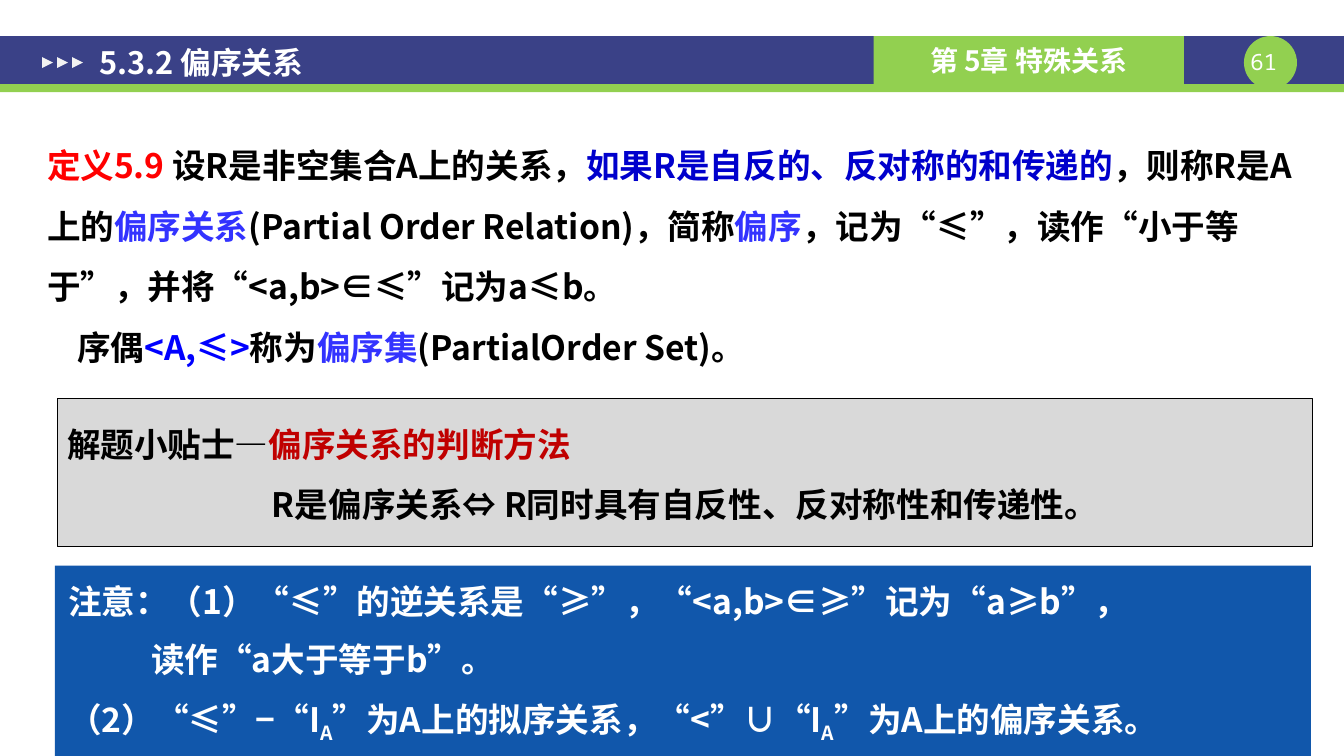
from pptx import Presentation
from pptx.dml.color import RGBColor
from pptx.enum.shapes import MSO_SHAPE
from pptx.enum.text import MSO_ANCHOR, PP_ALIGN
from pptx.oxml.ns import qn
from pptx.util import Emu, Pt

EMU_PER_PX = 9080
RECT, OVAL, TRIANGLE = MSO_SHAPE.RECTANGLE, MSO_SHAPE.OVAL, MSO_SHAPE.ISOSCELES_TRIANGLE
TOP, MIDDLE = MSO_ANCHOR.TOP, MSO_ANCHOR.MIDDLE
LEFT, CENTER, JUSTIFY = PP_ALIGN.LEFT, PP_ALIGN.CENTER, PP_ALIGN.JUSTIFY
SANS, MONO = "Noto Sans CJK SC", "Noto Sans Mono"
COLORS = {
    "black": "000000", "white": "FFFFFF", "navy": "3A4187", "green": "92D050",
    "marker": "F2F2F2", "red": "FF0000", "condition": "0000CC", "term": "3333FF",
    "pair": "0000FF", "tip": "D9D9D9", "method": "C00000", "note": "1157AB",
}


def px(value):
    return Emu(value * EMU_PER_PX)


def color(name):
    return RGBColor.from_string(COLORS[name])


def add_run(paragraph, text, *, size=24, fill="black", bold=True, font=SANS, baseline=0):
    run = paragraph.add_run()
    run.text = text
    run.font.size, run.font.bold, run.font.name = Pt(size), bold, font
    run.font.color.rgb = color(fill)
    properties = run.font._element
    if baseline:
        properties.set("baseline", str(baseline * 1000))
    east_asian = properties.makeelement(qn("a:ea"), {"typeface": font})
    properties.find(qn("a:latin")).addnext(east_asian)


class Page:
    def __init__(self, width, height):
        self.deck = Presentation()
        self.deck.slide_width, self.deck.slide_height = px(width), px(height)
        self.slide = self.deck.slides.add_slide(self.deck.slide_layouts[6])

    def shape(self, kind, box, fill, outline=None, rotation=0):
        item = self.slide.shapes.add_shape(kind, *map(px, box))
        item.shadow.inherit = False
        item.fill.solid()
        item.fill.fore_color.rgb = color(fill)
        item.rotation = rotation
        if outline:
            item.line.color.rgb = color(outline)
            item.line.width = Pt(0.75)
        else:
            item.line.fill.background()
        return item

    def textbox(self, box):
        return self.slide.shapes.add_textbox(*map(px, box))

    def fill_text(self, holder, paragraphs, *, anchor=TOP, inset=(13, 7), spacing=1.0, before=0, **style):
        """Each paragraph is (alignment, indent in px, runs); a run is (text, format)."""
        frame = holder.text_frame
        frame.word_wrap, frame.vertical_anchor = True, anchor
        frame.margin_left = frame.margin_right = px(inset[0])
        frame.margin_top = frame.margin_bottom = px(inset[1])
        for index, (alignment, indent, runs) in enumerate(paragraphs):
            paragraph = frame.add_paragraph() if index else frame.paragraphs[0]
            paragraph.alignment, paragraph.line_spacing = alignment, spacing
            if index and before:
                paragraph.space_before = Pt(before)
            if indent:
                paragraph._p.get_or_add_pPr().set("indent", str(px(indent)))
            for text, changes in runs:
                add_run(paragraph, text, **{**style, **changes})


def main():
    page = Page(1343, 755)

    # Header band, page number and chapter
    page.shape(RECT, (0, 36, 1343, 48), "navy")
    page.shape(RECT, (0, 84, 1343, 8), "green")
    page.shape(OVAL, (1243, 36, 53, 53), "green")
    page_number = page.textbox((1243, 48, 53, 27))
    page.fill_text(page_number, [(CENTER, 0, [("61 ", {})])], inset=(0, 0),
                   size=16, fill="white", bold=False, font=MONO)
    chapter = page.shape(RECT, (873, 36, 310, 48), "green")
    page.fill_text(chapter, [(CENTER, 0, [("第 5章 特殊关系", {})])],
                   anchor=MIDDLE, inset=(10, 5), size=20, fill="white")
    for step in range(3):
        page.shape(TRIANGLE, (42 + 15 * step, 57, 11, 11), "marker", rotation=90)
    title = page.textbox((86, 39, 587, 47))
    page.fill_text(title, [(LEFT, 0, [("5.3.2 偏序关系", {})])], anchor=MIDDLE, size=22, fill="white")

    # Definition
    term = {"fill": "term"}
    definition = page.textbox((34, 118, 1276, 319))
    page.fill_text(definition, [
        (LEFT, 0, [
            ("定义5.9 ", {"fill": "red"}),
            ("设R是非空集合A上的关系，", {}),
            ("如果R是自反的、反对称的和传递的", {"fill": "condition"}),
            ("，则称R是A上的", {}),
            ("偏序关系", term),
            ("(Partial Order Relation)，简称", {}),
            ("偏序", term),
            ("，记为“≤”，读作“小于等于”，并将“<a,b>∈≤”记为a≤b。", {}),
        ]),
        (LEFT, 30, [
            ("序偶", {}),
            ("<A,≤>", {"fill": "pair"}),
            ("称为", {}),
            ("偏序集", term),
            ("(PartialOrder Set)。", {}),
        ]),
    ], spacing=1.5)

    # Tip on how to decide
    tip = page.shape(RECT, (57, 398, 1255, 148), "tip", outline="black")
    page.fill_text(tip, [
        (JUSTIFY, 0, [("解题小贴士—", {}), ("偏序关系的判断方法", {"fill": "method"})]),
        (CENTER, 0, [("R是偏序关系⇔ R同时具有自反性、反对称性和传递性。", {})]),
    ], anchor=TOP, inset=(10, 5), spacing=1.5)

    # Notes
    subscript = ("A", {"baseline": -25})
    note = page.shape(RECT, (55, 565, 1255, 190), "note")
    page.fill_text(note, [
        (LEFT, 0, [("注意：（1）“≤”的逆关系是“≥”，“<a,b>∈≥”记为“a≥b”，", {})]),
        (LEFT, 83, [("读作“a大于等于b”。", {})]),
        (LEFT, 0, [("（2）“≤”−“I", {}), subscript, ("”为A上的拟序关系，“<”∪“I", {}),
                   subscript, ("”为A上的偏序关系。", {})]),
    ], spacing=1.2, before=7.2, fill="white")

    page.deck.save("out.pptx")


if __name__ == "__main__":
    main()
